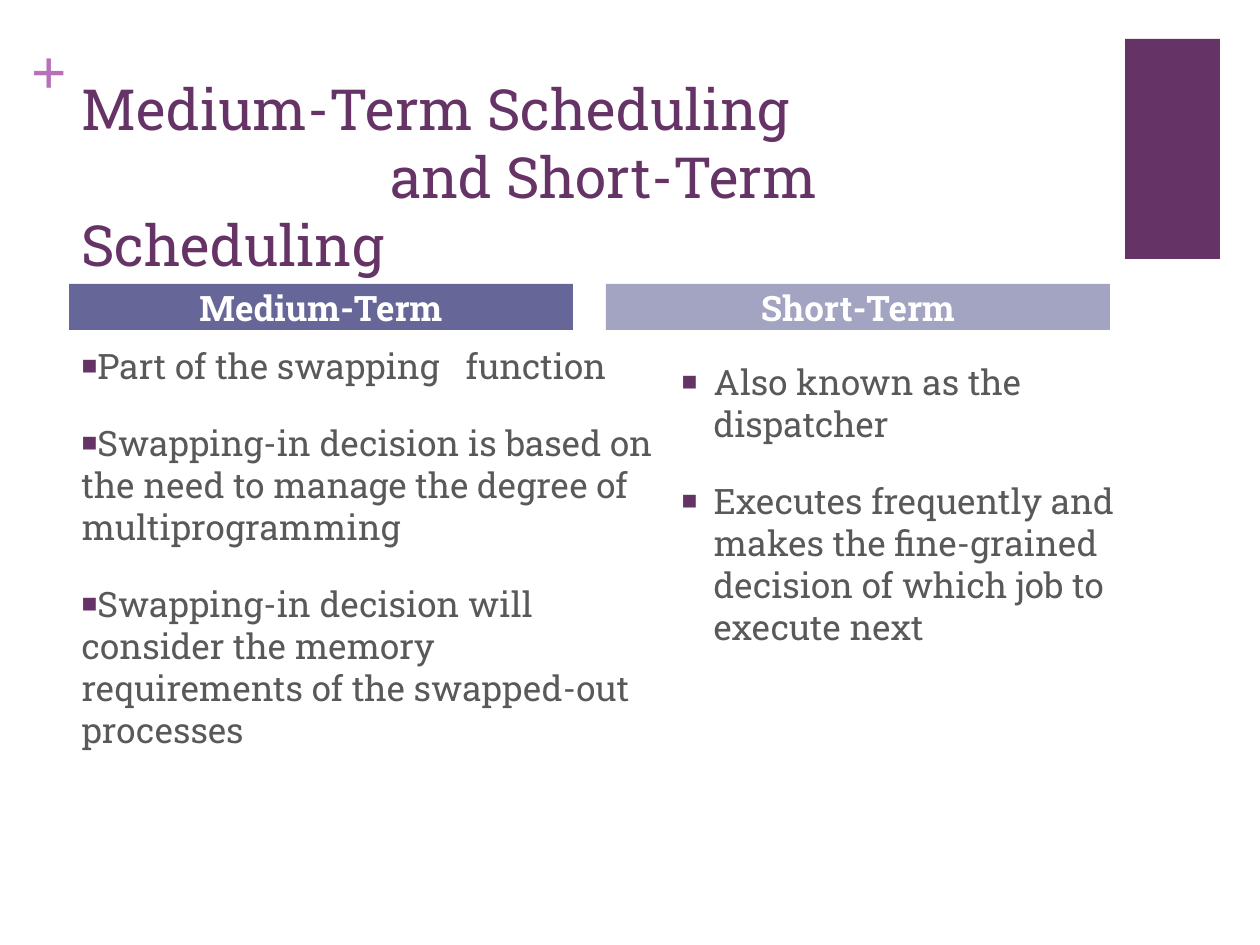
"""Build a slide comparing medium-term and short-term scheduling."""
from dataclasses import dataclass

from lxml.etree import SubElement
from pptx import Presentation
from pptx.dml.color import RGBColor as RGB
from pptx.enum.shapes import MSO_SHAPE as SHAPE
from pptx.enum.text import MSO_ANCHOR as ANCHOR, MSO_AUTO_SIZE as AUTO, PP_ALIGN as ALIGN
from pptx.oxml.ns import qn
from pptx.util import Emu, Pt

PX = 914400 / 126
FONT = "Roboto Slab"
COLORS = {
    "plum": "663366",
    "orchid": "B870B8",
    "text": "595959",
    "white": "FFFFFF",
    "medium": "666699",
    "short": "A3A3C2",
}


@dataclass
class Box:
    left: int
    top: int
    width: int
    height: int


@dataclass
class Column:
    header_idx: int
    list_idx: int
    name: str
    fill: str
    header: Box
    body: Box
    margin: int
    items: list[str]
    tab: int = 0


COLUMNS = [
    Column(1, 2, "Medium-Term", "medium", Box(69, 284, 504, 46), Box(69, 338, 601, 506), 0, [
        "Part of the swapping\tfunction",
        "Swapping-in decision is based on the need to manage the degree of multiprogramming",
        "Swapping-in decision will consider the memory requirements of the swapped-out processes",
    ], tab=384),
    Column(3, 4, "Short-Term", "short", Box(606, 284, 504, 46), Box(669, 354, 504, 506), 32, [
        "Also known as the dispatcher",
        "Executes frequently and makes the fine-grained decision of which job to execute next",
    ]),
]


def px(n: int) -> Emu:
    return Emu(round(n * PX))


def color(name: str) -> RGB:
    return RGB.from_string(COLORS[name])


def place(sp, box: Box) -> None:
    sp.left, sp.top = px(box.left), px(box.top)
    sp.width, sp.height = px(box.width), px(box.height)


def prepare(sp, box: Box, anchor: ANCHOR):
    place(sp, box)
    tf = sp.text_frame
    tf.word_wrap = True
    tf.auto_size = AUTO.NONE
    tf.vertical_anchor = anchor
    return tf


def add_run(p, text: str, size: float, fill: str, bold: bool = False, font: str = FONT) -> None:
    r = p.add_run()
    r.text = text
    r.font.name, r.font.size, r.font.bold = font, Pt(size), bold
    r.font.color.rgb = color(fill)


def paragraph(tf, i: int):
    return tf.add_paragraph() if i else tf.paragraphs[0]


def set_bullet(p, margin: int, tab: int) -> None:
    pPr = p._p.get_or_add_pPr()
    pPr.set("marL", str(px(margin)))
    pPr.set("indent", str(-px(32)))
    clr = SubElement(pPr, qn("a:buClr"))
    SubElement(clr, qn("a:srgbClr"), val=COLORS["plum"])
    SubElement(pPr, qn("a:buSzPct"), val="75000")
    SubElement(pPr, qn("a:buChar"), char="■")
    if tab:
        tabs = SubElement(pPr, qn("a:tabLst"))
        SubElement(tabs, qn("a:tab"), pos=str(px(tab)), algn="l")


def add_decoration(s) -> None:
    sp = s.shapes.add_shape(SHAPE.RECTANGLE, 0, 0, 0, 0)
    place(sp, Box(1125, 39, 95, 220))
    sp.shadow.inherit = False
    sp.fill.solid()
    sp.fill.fore_color.rgb = color("plum")
    sp.line.fill.background()

    sp = s.shapes.add_textbox(0, 0, 0, 0)
    tf = prepare(sp, Box(31, 32, 37, 77), ANCHOR.TOP)
    tf.margin_left = tf.margin_right = tf.margin_top = tf.margin_bottom = 0
    add_run(tf.paragraphs[0], "+", 36, "orchid", True, "Times New Roman")


def fill_title(sp) -> None:
    tf = prepare(sp, Box(69, 67, 1041, 154), ANCHOR.TOP)
    lines = [("Medium-Term Scheduling", 0), ("and Short-Term Scheduling", 309)]
    for i, (text, indent) in enumerate(lines):
        p = paragraph(tf, i)
        p.alignment = ALIGN.LEFT
        p.space_before = Pt(0)
        p._p.get_or_add_pPr().set("indent", str(px(indent)))
        add_run(p, text, 32.4, "plum")


def fill_header(sp, col: Column) -> None:
    tf = prepare(sp, col.header, ANCHOR.MIDDLE)
    tf.margin_top = tf.margin_bottom = 0
    sp.fill.solid()
    sp.fill.fore_color.rgb = color(col.fill)
    p = tf.paragraphs[0]
    p.alignment = ALIGN.CENTER
    p.space_before = Pt(0)
    add_run(p, col.name, 20, "white", True)


def fill_list(sp, col: Column) -> None:
    tf = prepare(sp, col.body, ANCHOR.TOP)
    for i, text in enumerate(col.items):
        p = paragraph(tf, i)
        set_bullet(p, col.margin, col.tab if "\t" in text else 0)
        p.space_before = Pt(20 if i else 0)
        add_run(p, text, 20, "text")


def main() -> None:
    prs = Presentation()
    prs.slide_width, prs.slide_height = px(1260), px(945)
    s = prs.slides.add_slide(prs.slide_layouts[4])
    add_decoration(s)
    fill_title(s.shapes.title)
    holders = {sp.placeholder_format.idx: sp for sp in s.placeholders}
    for col in COLUMNS:
        fill_header(holders[col.header_idx], col)
        fill_list(holders[col.list_idx], col)
    prs.save("out.pptx")


if __name__ == "__main__":
    main()
